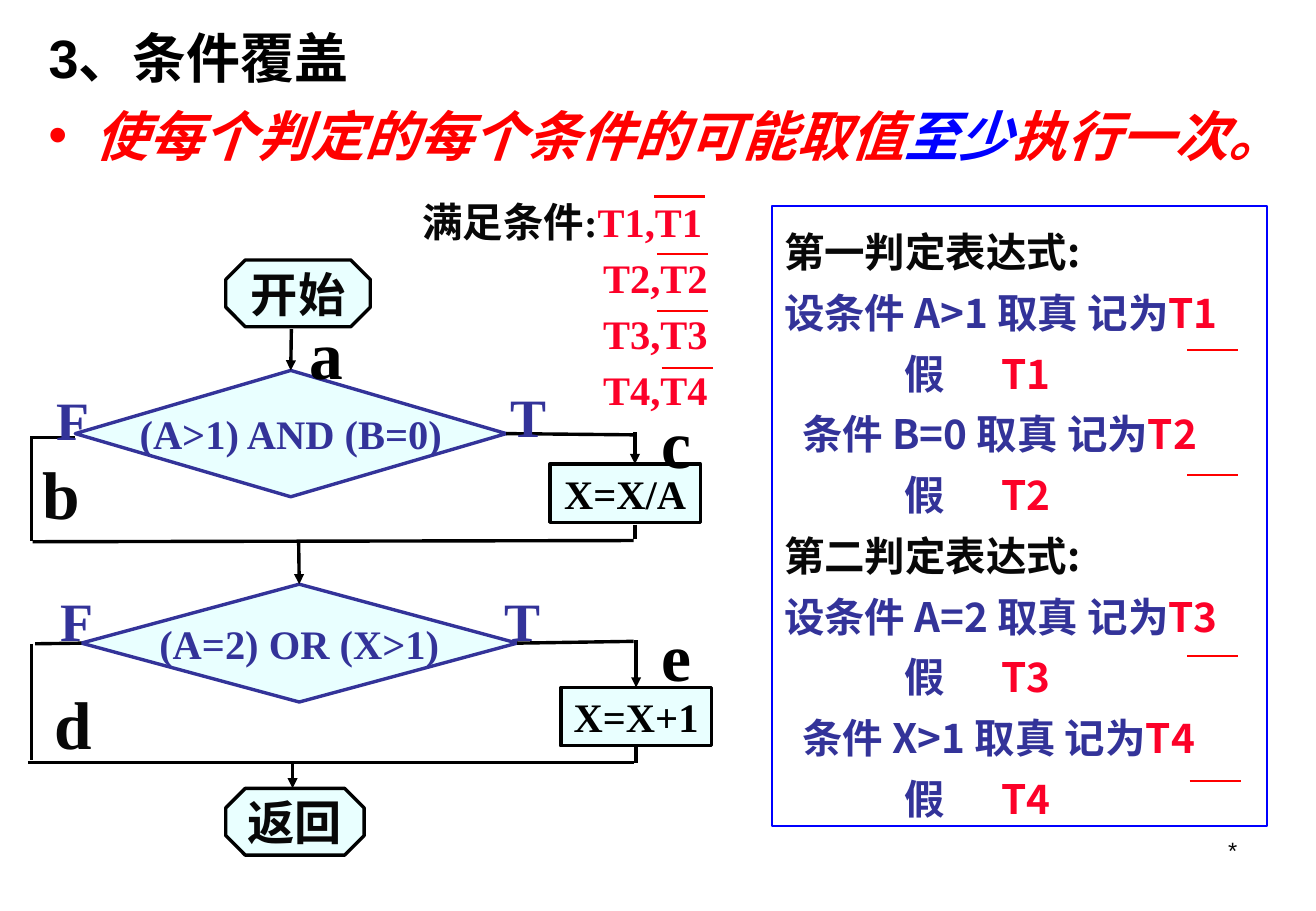
from lxml import etree
from pptx import Presentation
from pptx.dml.color import RGBColor
from pptx.enum.shapes import MSO_CONNECTOR, MSO_SHAPE
from pptx.enum.text import MSO_ANCHOR, PP_ALIGN
from pptx.oxml.ns import qn
from pptx.util import Pt

PX = 9144
STRAIGHT = MSO_CONNECTOR.STRAIGHT
OCTAGON, DIAMOND, RECTANGLE = MSO_SHAPE.OCTAGON, MSO_SHAPE.DIAMOND, MSO_SHAPE.RECTANGLE
TOP, MIDDLE = MSO_ANCHOR.TOP, MSO_ANCHOR.MIDDLE
LEFT, CENTER, RIGHT = PP_ALIGN.LEFT, PP_ALIGN.CENTER, PP_ALIGN.RIGHT
SANS, SERIF, CJK = "Arial", "Times New Roman", "Noto Sans CJK SC"
BLACK, INK, NAVY, PALE = "000000", "080808", "333399", "E9FFFF"
RED, CRIMSON, BLUE = "FF0000", "FC0128", "0000FF"


def px(*lengths):
    """Turn px lengths into EMU."""
    return [length * PX for length in lengths]


def color(target, hex_value):
    """Give a fill, line or font a solid colour."""
    if hasattr(target, "solid"):
        target.solid()
        target.fore_color.rgb = RGBColor.from_string(hex_value)
    elif hasattr(target, "fill") and not hasattr(target, "bold"):
        color(target.fill, hex_value)
    else:
        target.color.rgb = RGBColor.from_string(hex_value)


def add_run(paragraph, text, size, font, hex_value, bold=True, italic=False):
    """Append one formatted run."""
    run = paragraph.add_run()
    run.text = text
    run.font.size, run.font.bold, run.font.italic = Pt(size), bold, italic
    color(run.font, hex_value)
    run.font.name = font
    etree.SubElement(run.font._element, qn("a:ea"), typeface=CJK)


def set_frame(frame, anchor=TOP, wrap=True):
    """Set margins, anchor and wrapping of a text frame."""
    frame.margin_left = frame.margin_right = 10 * PX
    frame.margin_top = frame.margin_bottom = 5 * PX
    frame.vertical_anchor, frame.word_wrap = anchor, wrap
    return frame


def add_text(slide, box, text, size, font, hex_value, bold=True, align=LEFT):
    """Add a one-line text box."""
    frame = set_frame(slide.shapes.add_textbox(*px(*box)).text_frame)
    frame.paragraphs[0].alignment = align
    add_run(frame.paragraphs[0], text, size, font, hex_value, bold)


def add_node(slide, kind, box, text, size, font, text_color, edge=BLACK):
    """Add one flowchart node with its label."""
    node = slide.shapes.add_shape(kind, *px(*box))
    node.shadow.inherit = False
    color(node.fill, PALE)
    color(node.line, edge)
    node.line.width = Pt(2)
    paragraph = set_frame(node.text_frame, MIDDLE, False).paragraphs[0]
    paragraph.alignment = CENTER
    add_run(paragraph, text, size, font, text_color)
    return node


def add_line(slide, ends, hex_value=BLACK, width=2, arrow=False, start=None, finish=None):
    """Add a straight connector, joined to (node, side) where given."""
    line = slide.shapes.add_connector(STRAIGHT, *px(*ends))
    color(line.line, hex_value)
    line.line.width = Pt(width)
    if arrow:
        etree.SubElement(line.line._get_or_add_ln(), qn("a:tailEnd"), type="triangle")
    etree.SubElement(line._element.spPr, qn("a:effectLst"))
    if start:
        line.begin_connect(*start)
    if finish:
        line.end_connect(*finish)


def add_overline(slide, x, y):
    """Draw the negation bar above a condition."""
    add_line(slide, (x, y, x + 42, y), RED, 1.5)


def add_heading(slide, x, y, width, height):
    """Place the title and the definition bullet below it."""
    title = slide.shapes.title
    title.left, title.top, title.width, title.height = px(x, y, width, height)
    paragraph = set_frame(title.text_frame, MIDDLE).paragraphs[0]
    paragraph.alignment = LEFT
    add_run(paragraph, "3、条件覆盖", 32, SANS, BLACK)

    definition = slide.shapes.add_textbox(*px(x, y + 64, width, height))
    paragraph = set_frame(definition.text_frame, MIDDLE).paragraphs[0]
    properties = paragraph._p.get_or_add_pPr()
    properties.set("marL", str(38 * PX))
    properties.set("indent", str(-38 * PX))
    bullet_color = etree.SubElement(properties, qn("a:buClr"))
    etree.SubElement(bullet_color, qn("a:srgbClr"), val=RED)
    etree.SubElement(properties, qn("a:buFont"), typeface=SANS)
    etree.SubElement(properties, qn("a:buChar"), char="•")
    for text, hue in (("使每个判定的每个条件的可能取值", RED), ("至少", BLUE), ("执行一次。", RED)):
        add_run(paragraph, text, 32, SANS, hue, italic=True)


def add_flowchart(slide, x, y):
    """Draw the flowchart with its branches and path letters."""
    def at(left, top, *rest):
        return (x + left, y + top, *rest)

    def line(x1, y1, x2, y2, **options):
        add_line(slide, at(x1, y1) + at(x2, y2), **options)

    add_node(slide, OCTAGON, at(163, 0, 119, 55), "开始", 28, CJK, INK)
    add_node(slide, OCTAGON, at(163, 435, 114, 55), "返回", 28, CJK, INK)
    both = add_node(slide, DIAMOND, at(39, 91, 355, 104), "(A>1) AND (B=0)", 24, SERIF, NAVY, NAVY)
    either = add_node(slide, DIAMOND, at(44, 267, 359, 97), "(A=2) OR (X>1)", 24, SERIF, NAVY, NAVY)
    add_node(slide, RECTANGLE, at(430, 168, 124, 48), "X=X/A", 24, SERIF, BLACK)
    increment = add_node(slide, RECTANGLE, at(439, 352, 124, 48), "X=X+1", 24, SERIF, BLACK)

    line(217, 57, 217, 97, arrow=True, finish=(both, 0))
    line(39, 146, 2, 146)
    line(3, 147, 3, 231)
    line(4, 232, 499, 231)
    line(500, 218, 500, 230)
    line(395, 144, 499, 144, start=(both, 3))
    line(500, 142, 500, 168, arrow=True)
    line(223, 231, 223, 271, arrow=True, finish=(either, 0))
    line(403, 316, 499, 314, start=(either, 3))
    line(501, 313, 501, 350, arrow=True, finish=(increment, 0))
    line(48, 316, 6, 316, start=(either, 1))
    line(3, 316, 3, 412)
    line(0, 414, 499, 414)
    line(501, 402, 501, 414, start=(increment, 2))
    line(218, 414, 218, 435, arrow=True)

    for outcome, left, top in (("F", 14, 99), ("F", 17, 265), ("T", 388, 97), ("T", 383, 265)):
        add_text(slide, at(left, top, 55, 63), outcome, 32, SERIF, NAVY)
    paths = (("a", 222, 38, BLACK), ("b", 2, 153, INK), ("d", 12, 343, INK),
             ("c", 512, 111, BLACK), ("e", 512, 287, BLACK))
    for path, left, top, hue in paths:
        add_text(slide, at(left, top, 53, 76), path, 40, SERIF, hue)


def add_conditions(slide, x, y, width, height):
    """List the conditions to satisfy, each with its negation."""
    frame = set_frame(slide.shapes.add_textbox(*px(x, y, width, height)).text_frame)
    bar_lefts = (201, 203, 203, 207)
    for index, bar_left in enumerate(bar_lefts):
        paragraph = frame.add_paragraph() if index else frame.paragraphs[0]
        paragraph.line_spacing = Pt(33.2)
        if index:
            paragraph._p.get_or_add_pPr().set("marL", str(149 * PX))
        else:
            add_run(paragraph, "满足条件:", 24, SERIF, INK)
        add_run(paragraph, f"T{index + 1},T{index + 1}", 24, SERIF, CRIMSON)
        add_overline(slide, x + bar_left, y + 11 + 47 * index)


def add_definitions(slide, x, y, width, height):
    """Draw the framed panel that names the conditions T1 to T4."""
    panel = slide.shapes.add_shape(RECTANGLE, *px(x, y, width, height))
    panel.shadow.inherit = False
    panel.fill.background()
    color(panel.line, BLUE)
    panel.line.width = Pt(1.25)
    frame = set_frame(panel.text_frame)
    frame.margin_top = 7 * PX

    lines = []
    for number, (decision, first, second) in enumerate((("一", "A>1", "B=0"), ("二", "A=2", "X>1"))):
        lines.append((0, ((f"第{decision}判定表达式:", INK),)))
        for offset, lead, test in ((1, "设条件", first), (2, "条件", second)):
            name = (f"T{2 * number + offset}", CRIMSON)
            lines.append((15 * (offset - 1), ((f"{lead} {test} 取真 记为", NAVY), name)))
            lines.append((0, (("\t假\t", NAVY), name)))

    for index, (indent, runs) in enumerate(lines):
        paragraph = frame.add_paragraph() if index else frame.paragraphs[0]
        paragraph.alignment, paragraph.line_spacing = LEFT, Pt(36)
        properties = paragraph._p.get_or_add_pPr()
        properties.set("marL", str(indent * PX))
        tabs = etree.SubElement(properties, qn("a:tabLst"))
        for stop in (99, 179):
            etree.SubElement(tabs, qn("a:tab"), pos=str(stop * PX), algn="l")
        for text, hue in runs:
            add_run(paragraph, text, 24, CJK, hue)
    for bar_left, bar_top in ((342, 118), (342, 221), (342, 370), (344, 473)):
        add_overline(slide, x + bar_left, y + bar_top)


def main():
    """Build the condition coverage slide."""
    deck = Presentation()
    deck.slide_width, deck.slide_height = px(1084, 750)
    slide = deck.slides.add_slide(deck.slide_layouts[5])
    add_heading(slide, 30, 16, 1054, 62)
    add_flowchart(slide, 23, 214)
    add_conditions(slide, 338, 151, 275, 194)
    add_definitions(slide, 636, 170, 408, 510)
    add_text(slide, (776, 683, 253, 52), "*", 14, SANS, INK, False, RIGHT)
    deck.save("out.pptx")


if __name__ == "__main__":
    main()
